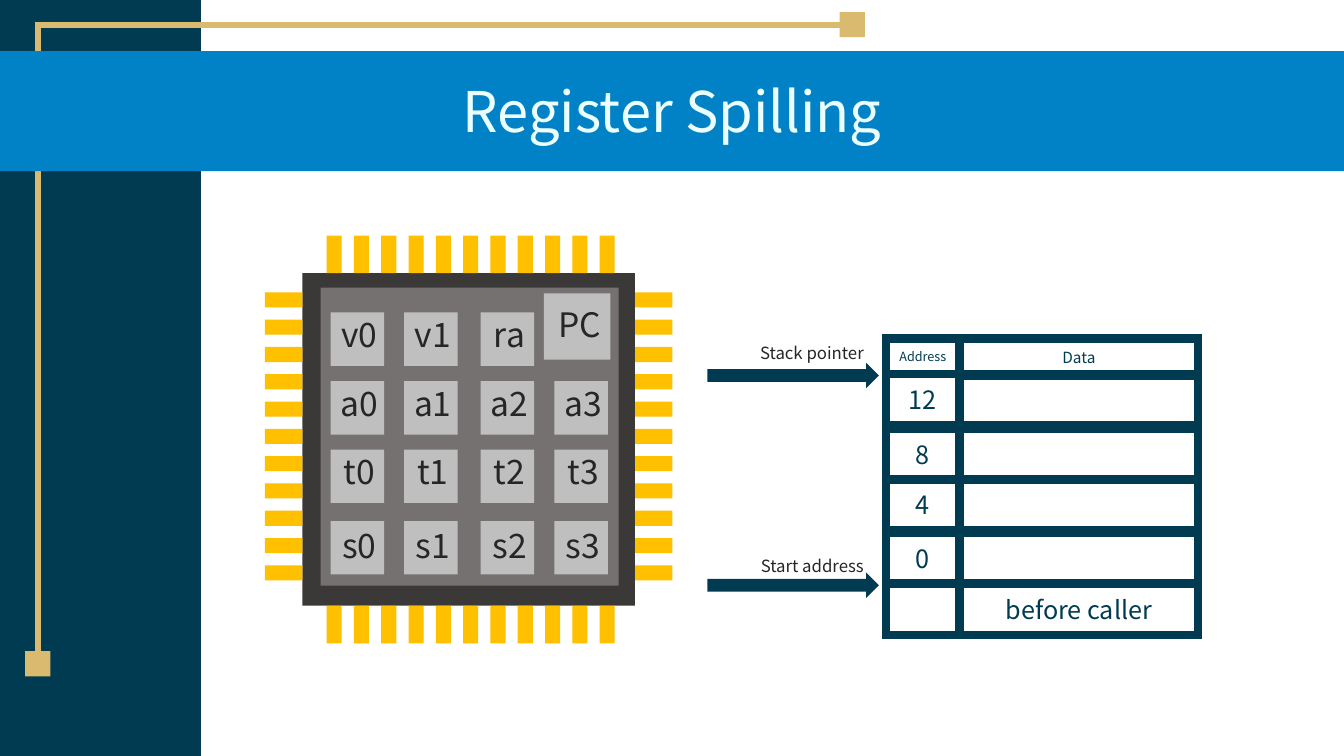
"""Builds the Register Spilling slide: a chip with its registers beside a stack in memory."""
from typing import NamedTuple

from lxml import etree
from pptx import Presentation
from pptx.dml.color import RGBColor
from pptx.enum.shapes import MSO_CONNECTOR, MSO_SHAPE
from pptx.enum.text import MSO_ANCHOR, PP_ALIGN
from pptx.oxml.ns import qn
from pptx.util import Pt

RECT, ARROW = MSO_SHAPE.RECTANGLE, MSO_SHAPE.RIGHT_ARROW
STRAIGHT = MSO_CONNECTOR.STRAIGHT
TOP, MIDDLE, BOTTOM = MSO_ANCHOR.TOP, MSO_ANCHOR.MIDDLE, MSO_ANCHOR.BOTTOM
CENTER, RIGHT = PP_ALIGN.CENTER, PP_ALIGN.RIGHT
FONT = "Noto Sans CJK KR"

NAVY = RGBColor(0x01, 0x3B, 0x51)
BLUE = RGBColor(0x01, 0x82, 0xC6)
SAND = RGBColor(0xDA, 0xBA, 0x6F)
PALE = RGBColor(0xEB, 0xFF, 0xFF)
GOLD = RGBColor(0xFF, 0xC0, 0x00)
CHIP_EDGE = RGBColor(0x3B, 0x38, 0x38)
CHIP_CORE = RGBColor(0x76, 0x71, 0x71)
SILVER = RGBColor(0xBF, 0xBF, 0xBF)
INK = RGBColor(0x26, 0x26, 0x26)


class Box(NamedTuple):
    """Left, top, width and height in points."""
    x: float
    y: float
    w: float
    h: float


class RegisterRow(NamedTuple):
    """One row of registers on the chip."""
    top: float
    label_top: float
    names: tuple[str, ...]


class MemoryRow(NamedTuple):
    """One row of the stack: address and data."""
    top: float
    address: str = ""
    data: str = ""
    address_size: float = 18
    data_size: float = 18
    address_height: float = 36.7
    data_height: float = 36.7


class Pointer(NamedTuple):
    """A labelled arrow to the stack."""
    label: str
    label_top: float
    label_height: float
    arrow_top: float


REGISTERS = (
    RegisterRow(223.2, 223.9, ("v0", "v1", "ra")),
    RegisterRow(272.2, 272.9, ("a0", "a1", "a2", "a3")),
    RegisterRow(321.1, 321.8, ("t0", "t1", "t2", "t3")),
    RegisterRow(372.2, 374.4, ("s0", "s1", "s2", "s3")),
)
REGISTER_LEFTS = (236.2, 288.7, 343.4, 396)
REGISTER_SIDE = 38.2
MEMORY = (
    MemoryRow(380.2, "0"),
    MemoryRow(342, "4"),
    MemoryRow(306, "8"),
    MemoryRow(267.1, "12"),
    MemoryRow(241.9, "Address", "Data", 9, 11, 25.2, 26.6),
    MemoryRow(416.9, data="before caller"),
)
POINTERS = (
    Pointer("Start address", 395.3, 19.4, 409),
    Pointer("Stack pointer", 242.6, 21.6, 259.2),
)
PIN_COUNT, PIN_PITCH, PIN_WIDTH, PIN_LENGTH = 11, 19.5, 10.8, 26.8
CHIP = Box(216, 195.1, 237.6, 237.6)

prs = Presentation()
prs.slide_width, prs.slide_height = Pt(960), Pt(540)
s = prs.slides.add_slide(prs.slide_layouts[6])


def points(box: Box) -> list[int]:
    """Converts a box to slide lengths."""
    return [Pt(v) for v in box]


def add_block(box: Box, color: RGBColor, kind=RECT) -> None:
    """Draws a filled shape without outline."""
    sp = s.shapes.add_shape(kind, *points(box))
    sp.shadow.inherit = False
    sp.fill.solid()
    sp.fill.fore_color.rgb = color
    sp.line.fill.background()


def write(sp, text: str, size: float, color: RGBColor, align=CENTER,
          anchor=TOP, spacing: float = 0.9, before: float = 0) -> None:
    """Fills a shape with one formatted paragraph."""
    tf = sp.text_frame
    tf.word_wrap = True
    tf.vertical_anchor = anchor
    p = tf.paragraphs[0]
    p.text = text
    p.alignment = align
    p.line_spacing = spacing
    p.space_before = Pt(before)
    r = p.runs[0]
    r.font.size, r.font.name = Pt(size), FONT
    r.font.color.rgb = color


def add_label(box: Box, text: str, size: float, color: RGBColor, **layout) -> None:
    """Draws a text box."""
    write(s.shapes.add_textbox(*points(box)), text, size, color, **layout)


def add_line(x1: float, y1: float, x2: float, y2: float) -> None:
    """Draws a sand-coloured line."""
    line = s.shapes.add_connector(STRAIGHT, Pt(x1), Pt(y1), Pt(x2), Pt(y2))
    line.line.color.rgb = SAND
    line.line.width = Pt(4.5)
    etree.SubElement(line._element.spPr, qn("a:effectLst"))


def add_register(box: Box, label: Box, name: str) -> None:
    """Draws a register with its name."""
    add_block(box, SILVER)
    add_label(label, name, 24, INK, before=10)


def add_memory_cell(box: Box, text: str, size: float) -> None:
    """Draws an outlined memory cell."""
    sp = s.shapes.add_shape(RECT, *points(box))
    sp.shadow.inherit = False
    sp.fill.background()
    sp.line.color.rgb = NAVY
    sp.line.width = Pt(6)
    etree.SubElement(sp.line._get_or_add_ln(), qn("a:miter"), lim="800000")
    if text:
        write(sp, text, size, NAVY, anchor=MIDDLE, spacing=1.0)


add_block(Box(0, 0, 143.5, 540), NAVY)
add_line(27, 465.1, 27, 15.5)
add_line(599.8, 17.8, 26.6, 17.8)
add_block(Box(599.8, 8.6, 18, 18), SAND)
add_block(Box(18, 465.1, 18, 18), SAND)
add_block(Box(0, 36.5, 960, 85.7), BLUE)
add_label(Box(7.2, 47.5, 946, 59), "Register Spilling", 40, PALE, anchor=BOTTOM)

add_block(CHIP, CHIP_EDGE)
add_block(Box(229, 205.4, 213, 213), CHIP_CORE)
for i in range(PIN_COUNT):
    pin_x, pin_y = 233.3 + i * PIN_PITCH, 208.8 + i * PIN_PITCH
    for y in (CHIP.y - PIN_LENGTH, CHIP.y + CHIP.h):
        add_block(Box(pin_x, y, PIN_WIDTH, PIN_LENGTH), GOLD)
    for x in (CHIP.x - PIN_LENGTH, CHIP.x + CHIP.w):
        add_block(Box(x, pin_y, PIN_LENGTH, PIN_WIDTH), GOLD)

for row in REGISTERS:
    for left, name in zip(REGISTER_LEFTS, row.names):
        add_register(Box(left, row.top, REGISTER_SIDE, REGISTER_SIDE),
                     Box(left - 11.2, row.label_top, 63.4, 41.8), name)
add_register(Box(388.6, 209.5, 47.5, 47.5), Box(374.4, 216.7, 79.2, 52.6), "PC")

for row in MEMORY:
    add_memory_cell(Box(685.4, row.top, 170.6, row.data_height), row.data, row.data_size)
for row in MEMORY:
    add_memory_cell(Box(632.9, row.top, 52.5, row.address_height), row.address, row.address_size)

for pointer in POINTERS:
    add_block(Box(505.4, pointer.arrow_top, 122.4, 18), NAVY, ARROW)
    add_label(Box(505.4, pointer.label_top, 118.8, pointer.label_height),
              pointer.label, 12, INK, align=RIGHT)

prs.save("out.pptx")
